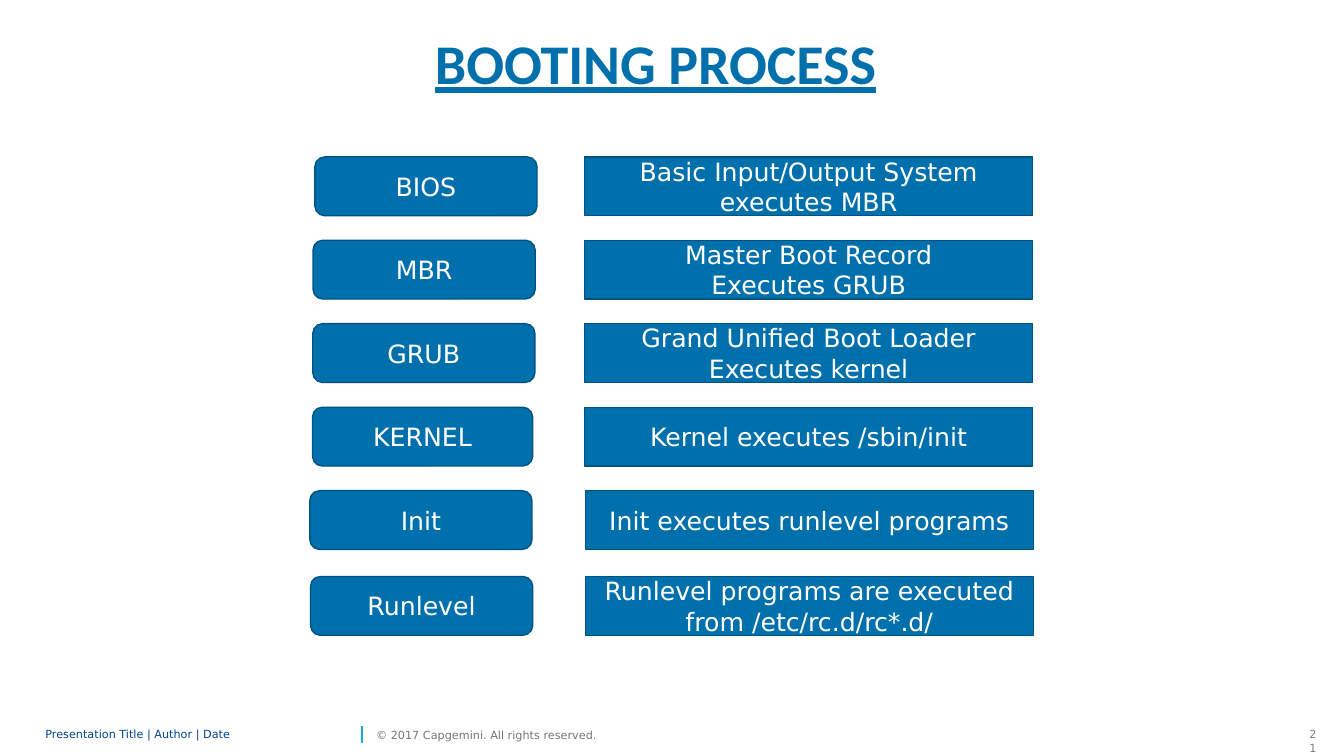
"""Build the slide that lists the six stages of the booting process."""
import dataclasses
import typing

import lxml.etree
import pptx
import pptx.dml.color
import pptx.enum.shapes
import pptx.enum.text
import pptx.oxml.ns
import pptx.util

Pt = pptx.util.Pt
Align = pptx.enum.text.PP_ALIGN
Anchor = pptx.enum.text.MSO_ANCHOR
Fit = pptx.enum.text.MSO_AUTO_SIZE
Kind = pptx.enum.shapes.MSO_SHAPE

BLUE = "0070AD"
EDGE = "005380"
WHITE = "FFFFFF"
SANS = "DejaVu Sans"
HIGH = 42


@dataclasses.dataclass
class Stage:
    name: str
    text: str
    top: float
    left: float
    wide: float = 158.7
    right: float = 417.6


@dataclasses.dataclass
class Note:
    text: str
    left: float
    wide: float
    color: str
    form: dict[str, typing.Any]
    align: typing.Any = Align.LEFT
    space: float = 1.0


FLAT = dict(margin_left=0, margin_right=0, margin_top=0, margin_bottom=0,
            vertical_anchor=Anchor.MIDDLE)

STAGES = [
    Stage("BIOS", "Basic Input/Output System executes MBR", 112.1, 224.9),
    Stage("MBR", "Master Boot Record\nExecutes GRUB", 171.6, 223.6),
    Stage("GRUB", "Grand Unified Boot Loader\nExecutes kernel", 231.2, 223.4),
    Stage("KERNEL", "Kernel executes /sbin/init", 290.9, 223.2, 157.3),
    Stage("Init", "Init executes runlevel programs", 350.5, 221.3, right=418.1),
    Stage("Runlevel", "Runlevel programs are executed from /etc/rc.d/rc*.d/",
          411.8, 221.8, right=418.1),
]

NOTES = [
    Note("21", 928.1, 19.4, "808080",
         dict(word_wrap=True, vertical_anchor=Anchor.TOP), Align.RIGHT),
    Note("Presentation Title | Author | Date", 32.4, 222.5, "00458D",
         dict(FLAT, word_wrap=True), space=0.85),
    Note("© 2017 Capgemini. All rights reserved.", 268.6, 175, "767676",
         dict(FLAT, word_wrap=False)),
]


def paint(part: typing.Any, color: str) -> None:
    part.rgb = pptx.dml.color.RGBColor.from_string(color)


def apply(part: typing.Any, form: dict[str, typing.Any]) -> None:
    for key, value in form.items():
        setattr(part, key, value)


def write(frame: typing.Any, text: str, color: str, font: dict[str, typing.Any],
          align: typing.Any = Align.CENTER, space: float = 1.0) -> None:
    frame.text = text
    for para in frame.paragraphs:
        apply(para, dict(alignment=align, line_spacing=space))
        for run in para.runs:
            apply(run.font, font)
            paint(run.font.color, color)


def add_box(slide: typing.Any, kind: typing.Any, text: str,
            left: float, top: float, wide: float) -> None:
    box = slide.shapes.add_shape(kind, Pt(left), Pt(top), Pt(wide), Pt(HIGH))
    box.shadow.inherit = False
    box.fill.solid()
    paint(box.fill.fore_color, BLUE)
    paint(box.line.color, EDGE)
    box.line.width = Pt(1)
    apply(box.text_frame, dict(word_wrap=True, vertical_anchor=Anchor.MIDDLE))
    write(box.text_frame, text, WHITE, dict(name=SANS, size=Pt(18)))


def add_stage(slide: typing.Any, stage: Stage) -> None:
    add_box(slide, Kind.ROUNDED_RECTANGLE, stage.name,
            stage.left, stage.top, stage.wide)
    add_box(slide, Kind.RECTANGLE, stage.text, stage.right, stage.top, 320)


def add_note(slide: typing.Any, note: Note) -> None:
    box = slide.shapes.add_textbox(Pt(note.left), Pt(516.2), Pt(note.wide), Pt(17.3))
    apply(box.text_frame, note.form)
    write(box.text_frame, note.text, note.color, dict(name=SANS, size=Pt(8)),
          note.align, note.space)


def add_rule(slide: typing.Any) -> None:
    rule = slide.shapes.add_connector(
        pptx.enum.shapes.MSO_CONNECTOR.STRAIGHT,
        Pt(258.5), Pt(530.6), Pt(258.5), Pt(518.4))
    paint(rule.line.color, "12ABDB")
    rule.line.width = Pt(1)
    lxml.etree.SubElement(rule.element.spPr, pptx.oxml.ns.qn("a:effectLst"))


def add_title(slide: typing.Any) -> None:
    title = slide.shapes.title
    apply(title, dict(left=Pt(185), top=Pt(16.6), width=Pt(566.6), height=Pt(55.7)))
    apply(title.text_frame, dict(word_wrap=True, vertical_anchor=Anchor.TOP,
                                 auto_size=Fit.SHAPE_TO_FIT_TEXT))
    write(title.text_frame, "BOOTING PROCESS", BLUE,
          dict(name="Calibri", size=Pt(40), bold=True, underline=True))


def main() -> None:
    deck = pptx.Presentation()
    apply(deck, dict(slide_width=Pt(960), slide_height=Pt(540)))
    slide = deck.slides.add_slide(deck.slide_layouts.get_by_name("Title Only"))
    add_title(slide)
    for note in NOTES:
        add_note(slide, note)
    add_rule(slide)
    for stage in STAGES:
        add_stage(slide, stage)
    deck.save("out.pptx")


if __name__ == "__main__":
    main()
